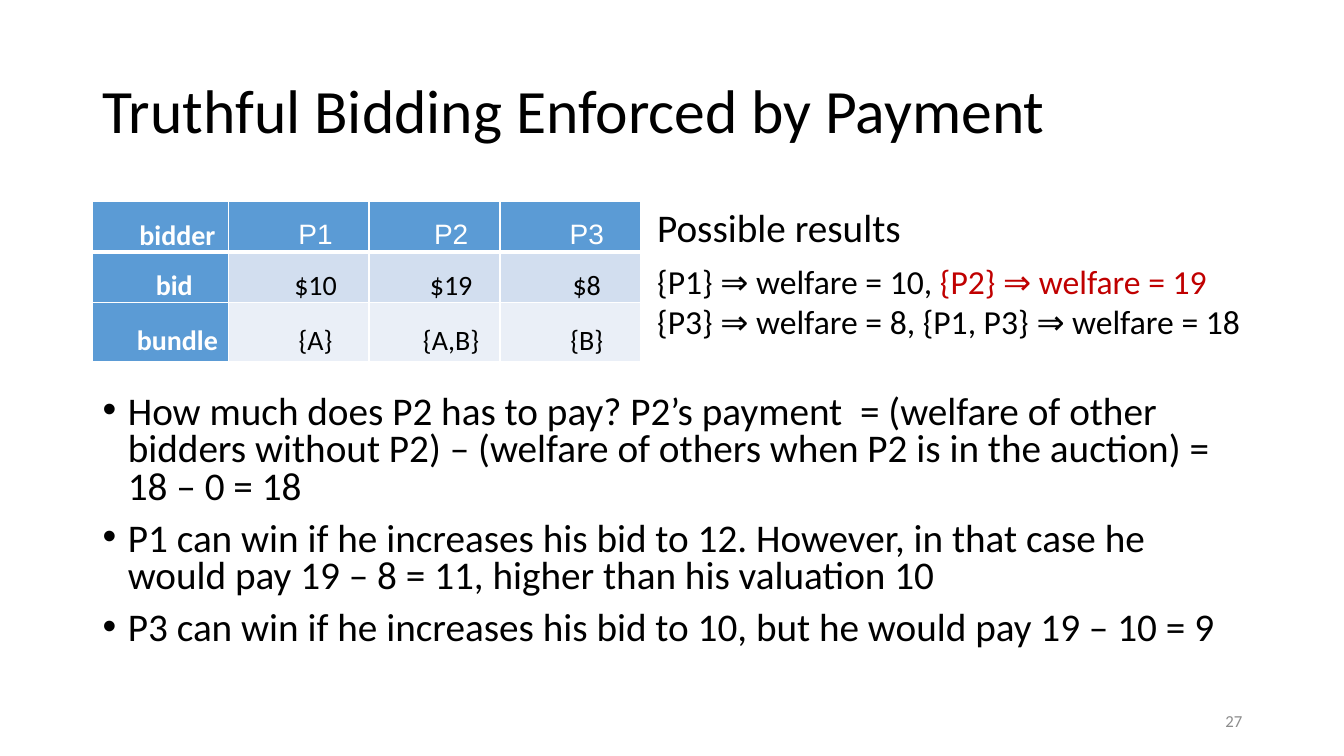
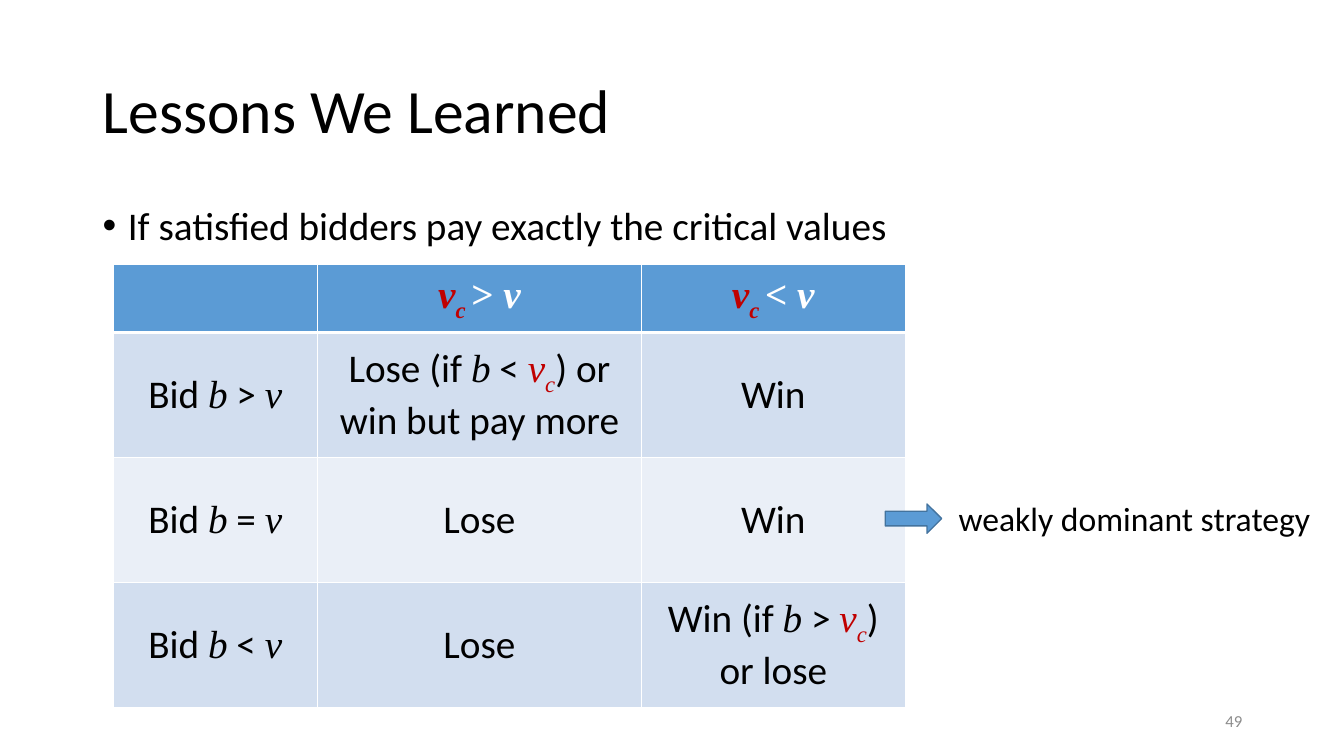
from lxml.etree import SubElement
from pptx import Presentation
from pptx.dml.color import RGBColor
from pptx.enum.shapes import MSO_SHAPE as Shape
from pptx.enum.text import MSO_ANCHOR as Anchor, MSO_AUTO_SIZE as Fit, PP_ALIGN as Align
from pptx.oxml.ns import qn
from pptx.util import Pt

PX = 9144
BLACK, WHITE, RED, GRAY = "000000", "FFFFFF", "C00000", "8C8C8C"
BLUE, BLUE_EDGE, BANDS = "5B9BD5", "43739E", ("EAEFF7", "D2DEEF")
SANS, SERIF, ARIAL = "Calibri", "Times New Roman", "Arial"

PLAIN = {}
HIGHLIGHT = {"color": RED}
VARIABLE = {"name": SERIF, "italic": True}
CRITICAL = VARIABLE | HIGHLIGHT
SUBSCRIPT = CRITICAL | {"baseline": "-25000"}
OPERATOR = {"name": SERIF}

B, V = ("b", VARIABLE), ("v", VARIABLE)
CRITICAL_VALUE = [("v", CRITICAL), ("c", SUBSCRIPT)]
HEADER_VALUE = [("v", CRITICAL), ("c ", SUBSCRIPT)]

TITLE = {"size": 44, "para": {"line_spacing": 0.9}, "frame": {"vertical_anchor": Anchor.MIDDLE}}
BODY = {"size": 28, "bullet": True, "para": {"line_spacing": 0.9}}
TIGHT_BODY = BODY | {"para": {"line_spacing": 0.8}}
LABEL = {"size": 24, "frame": {"word_wrap": False, "auto_size": Fit.SHAPE_TO_FIT_TEXT}}
HEADING = LABEL | {"size": 28}
NUMBER = {"size": 12, "color": GRAY, "para": {"alignment": Align.RIGHT},
          "frame": {"vertical_anchor": Anchor.MIDDLE}}
CELL = {"size": 28, "para": {"alignment": Align.CENTER}}
BID_CELL = {"size": 20, "indent": 33, "para": {"alignment": Align.CENTER, "line_spacing": 1.5}}

pages = [
    {
        "title": "Truthful Bidding Enforced by Payment",
        "number": "27",
        "boxes": [
            ((92, 387, 1150, 289), TIGHT_BODY, [
                "How much does P2 has to pay? P2’s payment  = (welfare of other bidders without P2)"
                " – (welfare of others when P2 is in the auction) = 18 – 0 = 18",
                "P1 can win if he increases his bid to 12. However, in that case he would pay"
                " 19 – 8 = 11, higher than his valuation 10",
                "P3 can win if he increases his bid to 10, but he would pay 19 – 10 = 9",
            ]),
            ((642, 254, 614, 91), LABEL, [
                [("{P1} ⇒ welfare = 10, ", PLAIN), ("{P2} ⇒ welfare = 19", HIGHLIGHT)],
                "{P3} ⇒ welfare = 8, {P1, P3} ⇒ welfare = 18",
            ]),
            ((642, 197, 264, 57), HEADING, ["Possible results"]),
        ],
        "table": {
            "at": (92, 200), "columns": (135, 139, 130, 139), "rows": (49, 50, 59),
            "look": BID_CELL, "label_column": True, "header_font": ARIAL,
            "margins": {"margin_left": 7, "margin_right": 7, "margin_top": 0, "margin_bottom": 0},
            "cells": [
                ["bidder", "P1", "P2", "P3"],
                ["bid ", "$10", "$19", "$8"],
                ["bundle", "{A}", "{A,B}", "{B}"],
            ],
        },
        "arrows": [],
    },
    {
        "title": "Lessons We Learned",
        "number": "49",
        "boxes": [
            ((92, 200, 1150, 476), BODY, ["If satisfied bidders pay exactly the critical values"]),
            ((941, 489, 377, 50), LABEL, ["weakly dominant strategy"]),
        ],
        "table": {
            "at": (112, 262), "columns": (203, 321, 262), "rows": (68, 124, 124, 124),
            "look": CELL, "label_column": False, "header_font": SERIF, "margins": {},
            "cells": [
                ["", [*HEADER_VALUE, ("> ", OPERATOR), V], [*HEADER_VALUE, ("< ", OPERATOR), V]],
                [[("Bid ", PLAIN), B, (" > ", PLAIN), V],
                 [("Lose (if ", PLAIN), B, (" < ", PLAIN), *CRITICAL_VALUE, (") or win but pay more", PLAIN)],
                 "Win"],
                [[("Bid ", PLAIN), B, (" = ", PLAIN), V], "Lose", "Win"],
                [[("Bid ", PLAIN), B, (" < ", PLAIN), V],
                 "Lose",
                 [("Win (if ", PLAIN), B, (" > ", PLAIN), *CRITICAL_VALUE, (") or lose", PLAIN)]],
            ],
        },
        "arrows": [(878, 500, 56, 29)],
    },
]


def paint(fill, color):
    fill.solid()
    fill.fore_color.rgb = RGBColor.from_string(color)


def write(frame, paragraphs, look):
    for key, value in look.get("frame", {}).items():
        setattr(frame, key, value)
    for index, runs in enumerate(paragraphs):
        para = frame.add_paragraph() if index else frame.paragraphs[0]
        properties = para._p.get_or_add_pPr()
        if look.get("bullet"):
            properties.set("marL", str(25 * PX))
            properties.set("indent", str(-25 * PX))
            SubElement(properties, qn("a:buFont")).set("typeface", ARIAL)
            SubElement(properties, qn("a:buChar")).set("char", "•")
            if index:
                para.space_before = Pt(10)
        if "indent" in look:
            properties.set("marL", "0")
            properties.set("indent", str(look["indent"] * PX))
        for key, value in look.get("para", {}).items():
            setattr(para, key, value)
        for text, style in [(runs, PLAIN)] if isinstance(runs, str) else runs:
            span = para.add_run()
            span.text = text
            formats = {"name": SANS, "color": BLACK, "bold": False, "italic": False}
            formats |= look.get("font", {}) | style
            paint(span.font.fill, formats.pop("color"))
            if "baseline" in formats:
                span.font._element.set("baseline", formats.pop("baseline"))
            span.font.size = Pt(look["size"])
            for key, value in formats.items():
                setattr(span.font, key, value)


deck = Presentation()
deck.slide_width, deck.slide_height = 1333 * PX, 750 * PX
NUMBER["font"] = {"color": NUMBER["color"]}

for page in pages:
    slide = deck.slides.add_slide(deck.slide_layouts[6])
    boxes = [
        ((92, 40, 1150, 145), TITLE, [page["title"]]),
        *page["boxes"],
        ((942, 695, 300, 40), NUMBER, [page["number"]]),
    ]
    for place, look, paragraphs in boxes:
        box = slide.shapes.add_textbox(*(length * PX for length in place))
        box.text_frame.word_wrap = True
        write(box.text_frame, paragraphs, look)

    grid = page["table"]
    columns, rows = grid["columns"], grid["rows"]
    place = (*grid["at"], sum(columns), sum(rows))
    table = slide.shapes.add_table(len(rows), len(columns), *(length * PX for length in place)).table
    table.horz_banding = table.first_row = False
    for column, width in zip(table.columns, columns):
        column.width = width * PX
    for r, (row, height) in enumerate(zip(table.rows, rows)):
        row.height = height * PX
        for c, cell in enumerate(row.cells):
            cell.vertical_anchor = Anchor.MIDDLE
            for key, value in grid["margins"].items():
                setattr(cell, key, value * PX)
            for side in "LRTB":
                thick = (r, side) in ((0, "B"), (1, "T"))
                border = SubElement(cell._tc.get_or_add_tcPr(), qn(f"a:ln{side}"), w=str(Pt(3 if thick else 1)))
                SubElement(SubElement(border, qn("a:solidFill")), qn("a:srgbClr")).set("val", WHITE)
            label = grid["label_column"] and c == 0
            strong = r == 0 or label
            paint(cell.fill, BLUE if strong else BANDS[r % 2])
            font = {}
            if strong:
                name = SANS if label else grid["header_font"]
                font = {"color": WHITE, "bold": name != ARIAL, "name": name}
            if grid["cells"][r][c]:
                write(cell.text_frame, [grid["cells"][r][c]], grid["look"] | {"font": font})

    for place in page["arrows"]:
        arrow = slide.shapes.add_shape(Shape.RIGHT_ARROW, *(length * PX for length in place))
        arrow.shadow.inherit = False
        paint(arrow.fill, BLUE)
        paint(arrow.line.fill, BLUE_EDGE)
        arrow.line.width = Pt(1)

deck.save("out.pptx")
